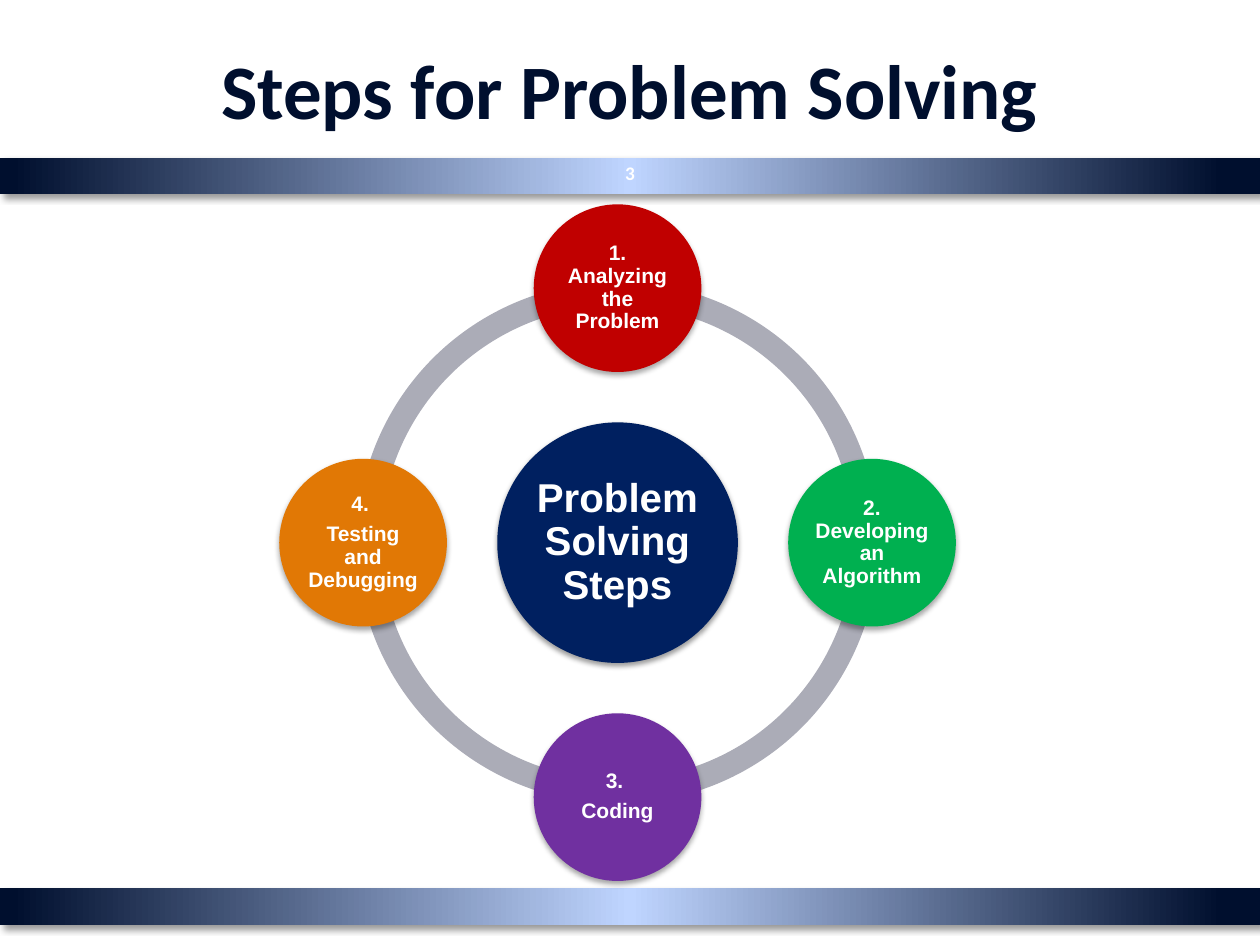
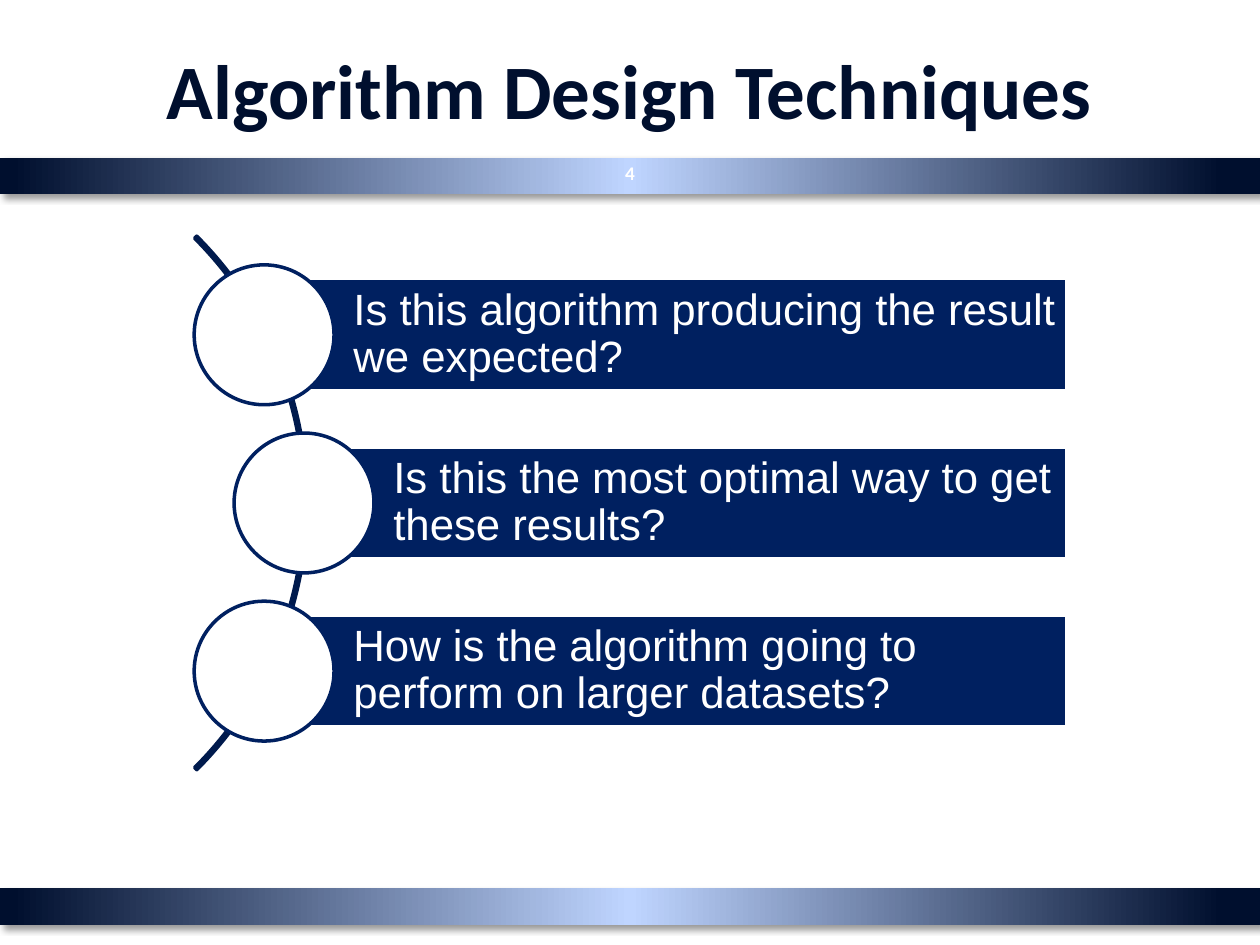
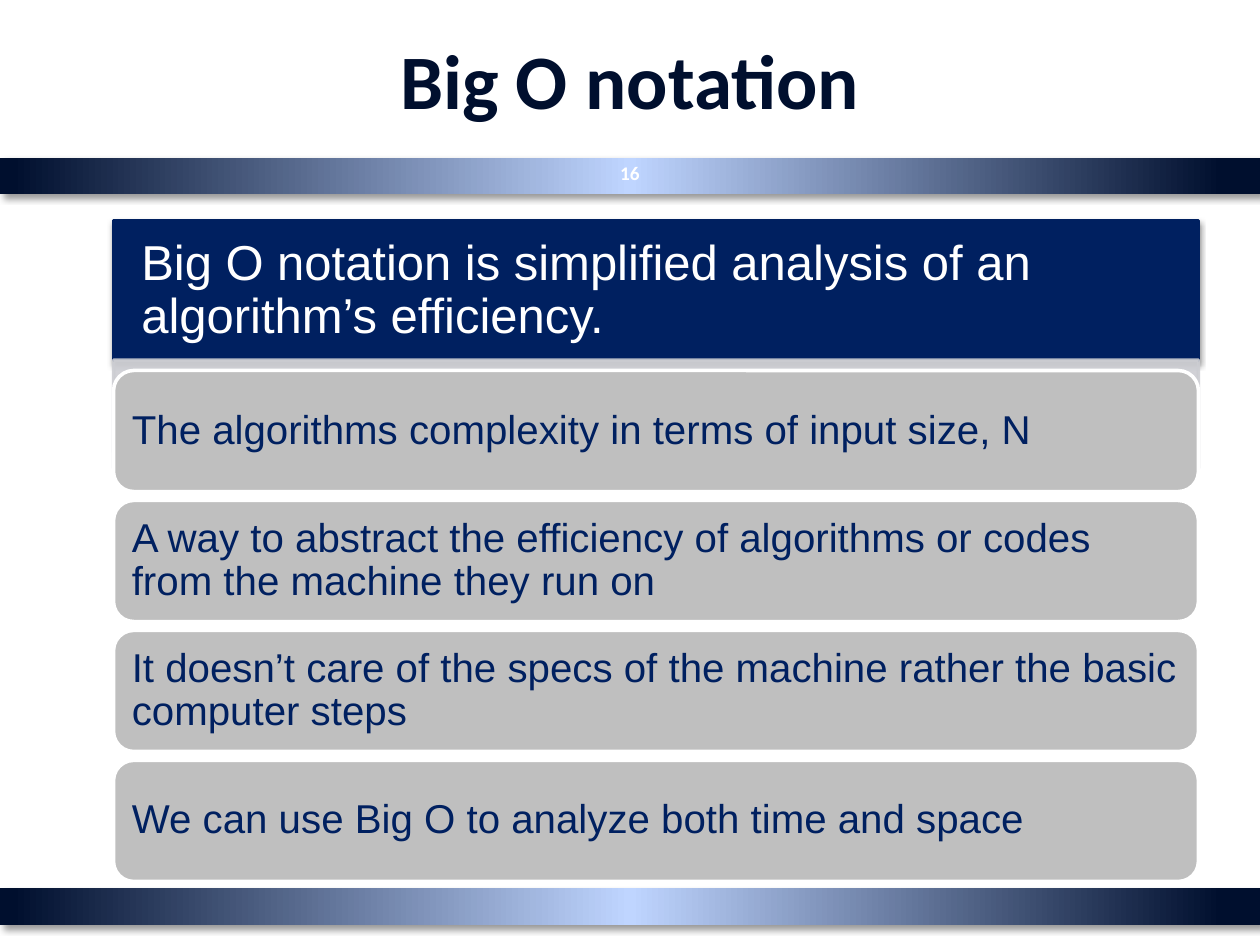
from math import cos, pi, sin, sqrt

from lxml.etree import SubElement
from pptx import Presentation
from pptx.dml.color import RGBColor
from pptx.enum.shapes import MSO_SHAPE
from pptx.enum.text import MSO_ANCHOR, PP_ALIGN
from pptx.oxml.ns import qn
from pptx.util import Cm, Pt

STEPS = {
    "title": "Steps for Problem Solving",
    "page": "3",
    "hub": ["Problem Solving Steps"],
    "nodes": [
        (["1. Analyzing the Problem"], "C00000"),
        (["2. Developing an Algorithm"], "00B050"),
        (["3. ", "Coding"], "7030A0"),
        (["4. ", "Testing and Debugging"], "E17805"),
    ],
}
TESTS = {
    "title": "Algorithm Design Techniques",
    "page": "4",
    "rows": [
        "Is this algorithm producing the result we expected?",
        "Is this the most optimal way to get these results?",
        "How is the algorithm going to perform on larger datasets?",
    ],
}
BIG_O = {
    "title": "Big O notation",
    "page": "16",
    "head": "Big O notation is simplified analysis of an algorithm’s efficiency.",
    "rows": [
        "The algorithms complexity in terms of input size, N",
        "A way to abstract the efficiency of algorithms or codes from the machine they run on",
        "It doesn’t care of the specs of the machine rather the basic computer steps",
        "We can use Big O to analyze both time and space",
    ],
}

THEME = {
    "ink": "000F2E", "glow": "BFD5FF", "navy": "002060", "arc": "001A4D",
    "white": "FFFFFF", "ring": "ABACB7", "panel": "CCCDD2", "card": "BFBFBF",
    "title": 44, "page": 11, "hub": 23, "node": 12, "bar": 25, "head": 28, "row": 23,
    "line": 2, "face": "Calibri", "body": "Arial",
    "band_shade": (40, 4, 3, 45), "shade": (38, 3.1, 1.6, 90), "node_shade": (35, 3.1, 1.8, 90),
}
WIDE, HIGH = 25.4, 19.05
MID = WIDE / 2


def put(item, vals):
    for key, val in vals.items():
        setattr(item, key, val)


def tint(name):
    return RGBColor.from_string(THEME.get(name, name))


def fade(fill, part):
    node = next(fill._xPr.iter(qn("a:srgbClr")))
    SubElement(node, qn("a:alpha"), val=str(part * 1000))


def shade(shape, look):
    alpha, blur, dist, turn = look
    props = shape._element.spPr
    for old in props.findall(qn("a:effectLst")):
        props.remove(old)
    drop = SubElement(SubElement(props, qn("a:effectLst")), qn("a:outerShdw"),
                      blurRad=str(int(Pt(blur))), dist=str(int(Pt(dist))),
                      dir=str(turn * 60000), rotWithShape="0")
    color = SubElement(drop, qn("a:srgbClr"), val="000000")
    SubElement(color, qn("a:alpha"), val=str(alpha * 1000))


def draw(slide, kind, at, fill=None, line=None, cast=None):
    shape = slide.shapes.add_shape(kind, *map(Cm, at))
    shape.shadow.inherit = False
    if fill:
        shape.fill.solid()
        shape.fill.fore_color.rgb = tint(fill)
    else:
        shape.fill.background()
    if line:
        shape.line.color.rgb = tint(line)
        shape.line.width = Pt(THEME["line"])
    else:
        shape.line.fill.background()
    if cast:
        shade(shape, THEME[cast])
    return shape


def disc(x, y, size):
    return x - size / 2, y - size / 2, size, size


def write(shape, lines, size, ink="white", face="body", bold=False,
          align=PP_ALIGN.LEFT, pad=(0.25, 0.13, 0.25, 0.13), tight=True):
    frame = shape.text_frame
    sides = ("margin_left", "margin_top", "margin_right", "margin_bottom")
    put(frame, {"word_wrap": True, "vertical_anchor": MSO_ANCHOR.MIDDLE,
                **dict(zip(sides, map(Cm, pad)))})
    for spot, line in enumerate(lines):
        para = frame.add_paragraph() if spot else frame.paragraphs[0]
        para.alignment = align
        if tight:
            put(para, {"line_spacing": 0.9, "space_after": Pt(THEME[size] * 0.35)})
        run = para.add_run()
        run.text = line
        put(run.font, {"name": THEME[face], "size": Pt(THEME[size]), "bold": bold})
        run.font.color.rgb = tint(ink)


def band(slide, top):
    shape = draw(slide, MSO_SHAPE.RECTANGLE, (0, top, WIDE, 0.74), "ink", cast="band_shade")
    shape.fill.gradient()
    shape.fill.gradient_angle = 180
    stops = next(shape._element.spPr.iter(qn("a:gsLst")))
    for old in list(stops):
        stops.remove(old)
    for pos, name in ((0, "ink"), (3, "ink"), (50, "glow"), (99, "ink"), (100, "ink")):
        stop = SubElement(stops, qn("a:gs"), pos=str(pos * 1000))
        SubElement(stop, qn("a:srgbClr"), val=THEME[name])


def start(deck, data, top=0.2):
    slide = deck.slides.add_slide(deck.slide_layouts[6])
    band(slide, 17.91)
    band(slide, 3.18)
    look = {"face": "face", "bold": True, "align": PP_ALIGN.CENTER, "tight": False}
    for key, ink, at in (("title", "ink", (1.27, top, WIDE - 2.54, 3.18)),
                         ("page", "white", (MID - 0.53, 2.97, 1.06, 1.02))):
        text = slide.shapes.add_textbox(*map(Cm, at))
        write(text, [data[key]], key, ink, **look)
    return slide


def cycle(deck, data):
    slide = start(deck, data)
    x, y, reach = 12.45, 10.94, 5.13
    for turn in range(4):
        arc = draw(slide, MSO_SHAPE.BLOCK_ARC, disc(x, y, 10.52), "ring")
        for spot, val in enumerate((turn * 54, (turn + 1) % 4 * 54, 0.046)):
            arc.adjustments[spot] = val
    look = {"bold": True, "align": PP_ALIGN.CENTER}
    hub = draw(slide, MSO_SHAPE.OVAL, disc(x, y, 4.85), "navy", cast="shade")
    write(hub, data["hub"], "hub", pad=(0.08,) * 4, **look)
    for turn, (lines, color) in enumerate(data["nodes"]):
        angle = turn * pi / 2
        at = disc(x + reach * sin(angle), y - reach * cos(angle), 3.38)
        node = draw(slide, MSO_SHAPE.OVAL, at, color, cast="node_shade")
        write(node, lines, "node", pad=(0.04,) * 4, **look)


def curve(deck, data):
    slide = start(deck, data)
    x, y, reach, step = -1.41, 10.14, 7.54, 3.39
    tall, edge = 2.26, 21.51
    arc = draw(slide, MSO_SHAPE.BLOCK_ARC, disc(x, y, 15.21), line="arc")
    for spot, val in enumerate((189, 27, 0.004)):
        arc.adjustments[spot] = val
    for spot, line in enumerate(data["rows"]):
        drop = (spot - 1) * step
        left, mid = x + sqrt(reach ** 2 - drop ** 2), y + drop
        bar = draw(slide, MSO_SHAPE.RECTANGLE,
                   (left, mid - tall / 2, edge - left, tall), "navy", "white")
        write(bar, [line], "bar", pad=(1.8, 0.18, 0.15, 0.18))
        draw(slide, MSO_SHAPE.OVAL, disc(left, mid, 2.82), "white", "navy")


def stack(deck, data):
    slide = start(deck, data, 0)
    left, width = 2.29, 21.87
    head = draw(slide, MSO_SHAPE.RECTANGLE, (left, 4.45, width, 2.82), "navy", "navy", "shade")
    write(head, [data["head"]], "head", pad=(0.56, 0.3, 0.56, 0.3))
    panel = draw(slide, MSO_SHAPE.RECTANGLE, (left, 7.26, width, 2.18), "panel", "panel")
    for fill in (panel.fill, panel.line.fill):
        fade(fill, 90)
    for spot, line in enumerate(data["rows"]):
        card = draw(slide, MSO_SHAPE.ROUNDED_RECTANGLE,
                    (left, 7.47 + spot * 2.62, width, 2.44), "card", "white")
        write(card, [line], "row", "navy", pad=(0.25,) * 4)


deck = Presentation()
put(deck, {"slide_width": Cm(WIDE), "slide_height": Cm(HIGH)})
cycle(deck, STEPS)
curve(deck, TESTS)
stack(deck, BIG_O)
deck.save("out.pptx")
